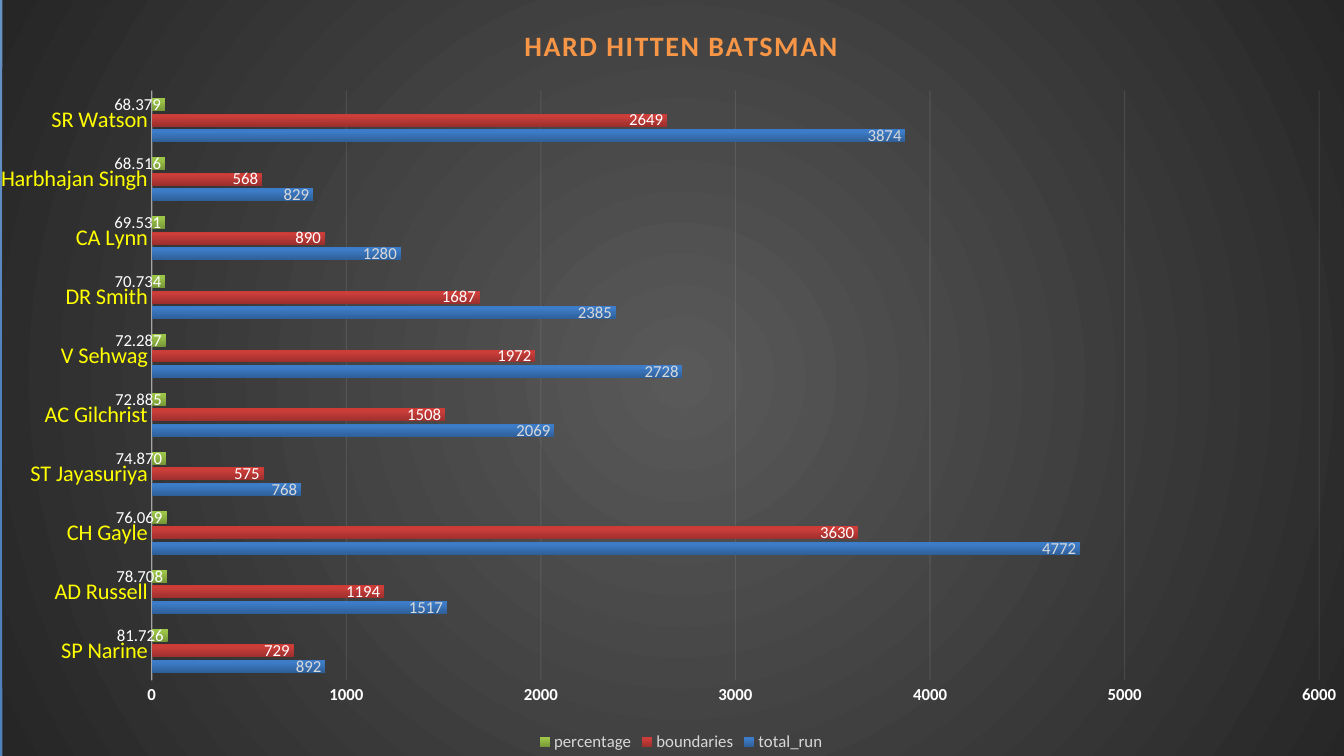
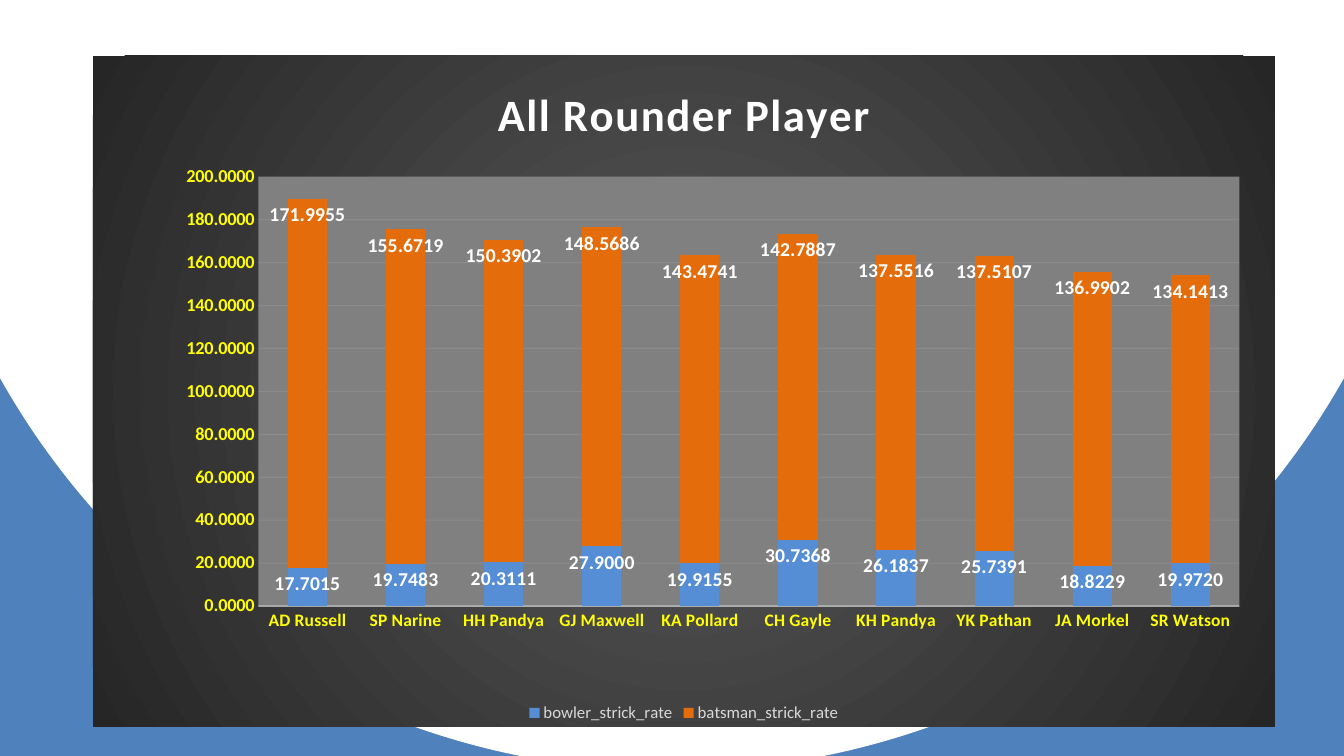
from lxml.etree import SubElement
from pptx import Presentation
from pptx.chart.data import CategoryChartData
from pptx.dml.color import RGBColor
from pptx.enum.chart import XL_CHART_TYPE, XL_LABEL_POSITION, XL_LEGEND_POSITION, XL_TICK_MARK
from pptx.oxml.ns import qn
from pptx.oxml.xmlchemy import OxmlElement
from pptx.util import Pt

PX = 914400 / 100.8
FONT = "Calibri"
WHITE = RGBColor(0xFF, 0xFF, 0xFF)
BLACK = RGBColor(0x00, 0x00, 0x00)
PALE = RGBColor(0xF2, 0xF2, 0xF2)
SILVER = RGBColor(0xD9, 0xD9, 0xD9)
GRAY = RGBColor(0x80, 0x80, 0x80)
SLATE = RGBColor(0x59, 0x59, 0x59)
COAL = RGBColor(0x26, 0x26, 0x26)
YELLOW = RGBColor(0xFF, 0xFF, 0x00)
AMBER = RGBColor(0xF7, 0x96, 0x46)
BLUE = RGBColor(0x4F, 0x81, 0xBD)
SKY = RGBColor(0x55, 0x8E, 0xD5)
ORANGE = RGBColor(0xE4, 0x6C, 0x0A)
BLUES = [RGBColor(0x2F, 0x5F, 0x99), RGBColor(0x3D, 0x7C, 0xC7), RGBColor(0x3A, 0x7C, 0xCB)]
REDS = [RGBColor(0x9C, 0x2F, 0x2D), RGBColor(0xCB, 0x3E, 0x3A), RGBColor(0xCE, 0x3B, 0x37)]
GREENS = [RGBColor(0x77, 0x97, 0x37), RGBColor(0x9B, 0xC3, 0x48), RGBColor(0x9D, 0xC7, 0x46)]

HITTERS = {
    "kind": XL_CHART_TYPE.BAR_CLUSTERED,
    "title": ("HARD HITTEN BATSMAN", 20, AMBER),
    "names": ["SP Narine", "AD Russell", "CH Gayle", "ST Jayasuriya", "AC Gilchrist",
              "V Sehwag", "DR Smith", "CA Lynn", "Harbhajan Singh", "SR Watson"],
    "series": [
        ("total_run", [892, 1517, 4772, 768, 2069, 2728, 2385, 1280, 829, 3874],
         BLUES, SILVER, "General"),
        ("boundaries", [729, 1194, 3630, 575, 1508, 1972, 1687, 890, 568, 2649],
         REDS, WHITE, "General"),
        ("percentage", [81.726, 78.708, 76.069, 74.87, 72.885, 72.287, 70.734, 69.531,
                        68.516, 68.379], GREENS, WHITE, "0.000"),
    ],
    "plot": {"gap_width": 115, "overlap": -20},
    "scale": {"minimum_scale": 0, "maximum_scale": 6000, "major_unit": 1000},
    "cat": (16, YELLOW, False), "val": (12, WHITE, True), "label": (12, False),
    "format": "General", "area": (0.11, 0.12, 0.86, 0.78), "back": None,
}
ROUNDERS = {
    "kind": XL_CHART_TYPE.COLUMN_STACKED,
    "title": ("All Rounder Player", 32, WHITE),
    "names": ["AD Russell", "SP Narine", "HH Pandya", "GJ Maxwell", "KA Pollard",
              "CH Gayle", "KH Pandya", "YK Pathan", "JA Morkel", "SR Watson"],
    "series": [
        ("bowler_strick_rate", [17.7015, 19.7483, 20.3111, 27.9, 19.9155, 30.7368,
                                26.1837, 25.7391, 18.8229, 19.972], [SKY], WHITE, "0.0000"),
        ("batsman_strick_rate", [171.9955, 155.6719, 150.3902, 148.5686, 143.4741, 142.7887,
                                 137.5516, 137.5107, 136.9902, 134.1413], [ORANGE], WHITE, "0.0000"),
    ],
    "plot": {"gap_width": 150, "overlap": 100},
    "scale": {"minimum_scale": 0, "maximum_scale": 200, "major_unit": 20},
    "cat": (12.5, YELLOW, True), "val": (13, YELLOW, True), "label": (14, True),
    "format": "0.0000", "area": (0.14, 0.18, 0.83, 0.64), "back": GRAY,
}


def apply(item, values):
    """Set attributes from a dict."""
    for name, value in values.items():
        setattr(item, name, value)


def type_in(font, size, color, bold=False):
    """Set face, size, weight and colour of a font."""
    apply(font, {"name": FONT, "size": Pt(size), "bold": bold})
    font.color.rgb = color


def add(parent, tag, **attrs):
    """Append an XML child with attributes."""
    return SubElement(parent, qn(tag), {key: str(value) for key, value in attrs.items()})


def blend(stops, rect=None):
    """Return a gradient fill, circular when a focus rectangle is given."""
    fill = OxmlElement("a:gradFill")
    steps = add(fill, "a:gsLst")
    for place, color in stops:
        add(add(steps, "a:gs", pos=place * 1000), "a:srgbClr", val=color)
    if rect:
        focus = add(fill, "a:path", path="circle")
        add(focus, "a:fillToRect", **{side: part * 1000 for side, part in zip("ltrb", rect)})
    else:
        add(fill, "a:lin", ang=270 * 60000, scaled=0)
    return fill


def swap(parent, fill):
    """Replace a solid fill with a gradient."""
    old = parent.find(".//" + qn("a:solidFill"))
    old.getparent().replace(old, fill)


def fade(parent, part):
    """Make the colours below an element see-through."""
    for color in parent.iter(qn("a:srgbClr")):
        add(color, "a:alpha", val=part * 1000)


def paint(slide, start):
    """Fill the background with a circle of white inside blue."""
    slide.background.fill.solid()
    slide.background.fill.fore_color.rgb = WHITE
    swap(slide.element.find(".//" + qn("p:bg")),
         blend([(start, WHITE), (100, BLUE)], (50, -80, 50, 180)))


def frame(chart, area, back):
    """Fill the chart and fix the inner plot area."""
    body = chart.element.find(qn("c:chart")) if hasattr(chart, "element") else chart._chartSpace.find(qn("c:chart"))
    shell = OxmlElement("c:spPr")
    shell.append(blend([(0, SLATE), (100, COAL)], (50, 50, 50, 50)))
    add(add(shell, "a:ln"), "a:noFill")
    body.addnext(shell)
    plot = body.find(qn("c:plotArea"))
    for old in plot.findall(qn("c:layout")):
        plot.remove(old)
    layout = OxmlElement("c:layout")
    plot.insert(0, layout)
    manual = add(layout, "c:manualLayout")
    add(manual, "c:layoutTarget", val="inner")
    for side in "xy":
        add(manual, f"c:{side}Mode", val="edge")
    for side, part in zip("xywh", area):
        add(manual, f"c:{side}", val=part)
    if back:
        add(add(add(plot, "c:spPr"), "a:solidFill"), "a:srgbClr", val=back)


def dress_axes(chart, data):
    """Style both axes and the gridlines."""
    cat, val = chart.category_axis, chart.value_axis
    for axis, key in ((cat, "cat"), (val, "val")):
        apply(axis, {"major_tick_mark": XL_TICK_MARK.NONE, "minor_tick_mark": XL_TICK_MARK.NONE})
        type_in(axis.tick_labels.font, *data[key])
    cat.has_major_gridlines = False
    val.has_major_gridlines = True
    apply(val, data["scale"])
    apply(val.tick_labels, {"number_format": data["format"], "number_format_is_linked": False})
    val.format.line.fill.background()
    grid = val.major_gridlines.format.line
    for line, width in ((cat.format.line, 1), (grid, 0.75)):
        line.width = Pt(width)
        line.color.rgb = PALE
    fade(cat._element.find(qn("c:spPr")), 54)
    fade(val._element.find(qn("c:majorGridlines")), 10)


def dress_bars(plot, data):
    """Colour and label each series."""
    apply(plot, data["plot"] | {"vary_by_categories": False})
    size, bold = data["label"]
    for bars, (_, _, colors, ink, digits) in zip(plot.series, data["series"]):
        bars.invert_if_negative = False
        bars.format.fill.solid()
        bars.format.fill.fore_color.rgb = colors[0]
        if len(colors) > 1:
            swap(bars._element.find(qn("c:spPr")), blend(zip((0, 80, 100), colors)))
        labels = bars.data_labels
        apply(labels, {"show_value": True, "position": XL_LABEL_POSITION.INSIDE_END,
                       "number_format": digits, "number_format_is_linked": False})
        type_in(labels.font, size, ink, bold)


def add_graph(slide, box, data):
    """Place a dark chart in a box given in px."""
    table = CategoryChartData()
    table.categories = data["names"]
    for name, values, *_ in data["series"]:
        table.add_series(name, values)
    chart = slide.shapes.add_chart(data["kind"], *(round(n * PX) for n in box), table).chart
    type_in(chart.font, 10, BLACK)
    chart.has_title = True
    text, size, color = data["title"]
    run = chart.chart_title.text_frame.paragraphs[0].add_run()
    run.text = text
    type_in(run.font, size, color, True)
    run._r.get_or_add_rPr().set("spc", "100")
    chart.has_legend = True
    apply(chart.legend, {"position": XL_LEGEND_POSITION.BOTTOM, "include_in_layout": False})
    type_in(chart.legend.font, 12, SILVER)
    dress_axes(chart, data)
    dress_bars(chart.plots[0], data)
    frame(chart, data["area"], data["back"])


def main():
    """Build and save both slides."""
    deck = Presentation()
    apply(deck, {"slide_width": round(1344 * PX), "slide_height": round(756 * PX)})
    for start, box, data in ((0, (1, 0, 1359, 756), HITTERS),
                             (100, (93, 56, 1182, 671), ROUNDERS)):
        slide = deck.slides.add_slide(deck.slide_layouts[6])
        paint(slide, start)
        add_graph(slide, box, data)
    deck.save("out.pptx")


if __name__ == "__main__":
    main()
